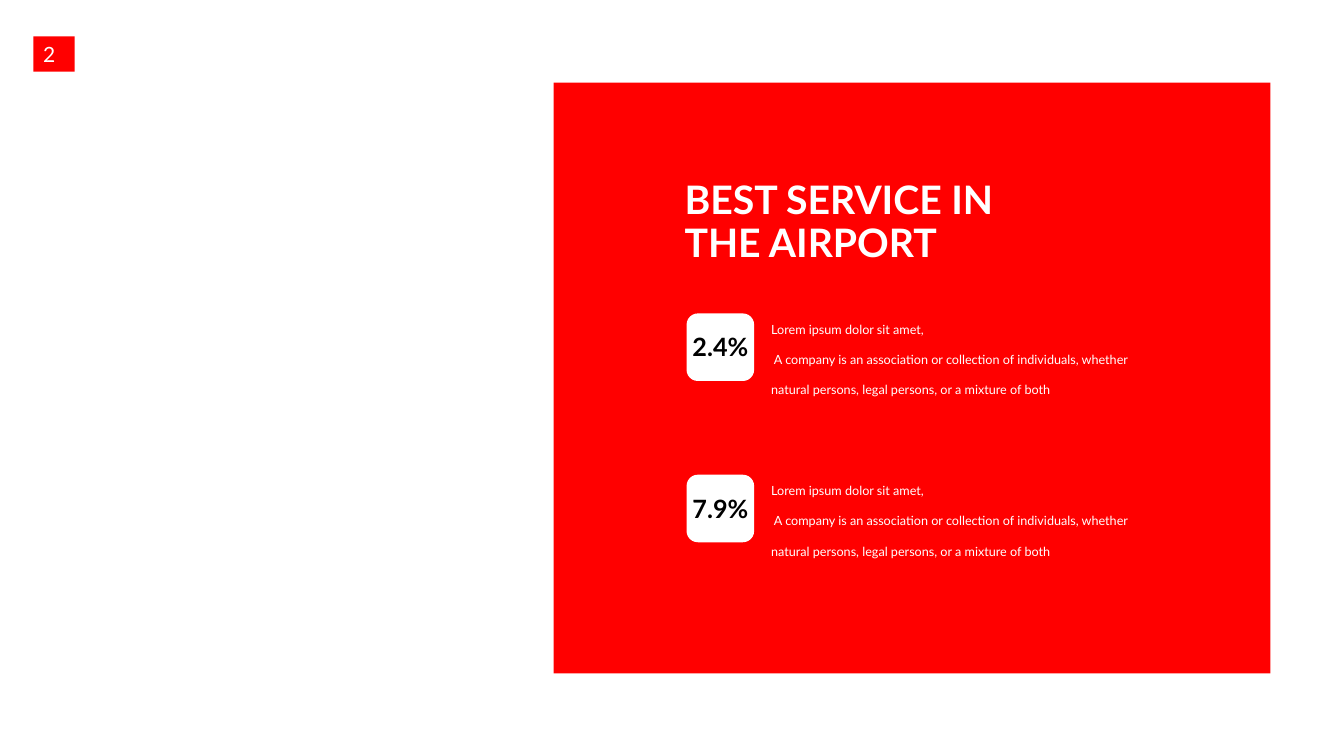
from pptx import Presentation
from pptx.dml.color import RGBColor
from pptx.enum.shapes import MSO_SHAPE
from pptx.enum.text import MSO_ANCHOR, PP_ALIGN
from pptx.util import Inches, Pt

RECT, ROUND = MSO_SHAPE.RECTANGLE, MSO_SHAPE.ROUNDED_RECTANGLE
LEFT, CENTER = PP_ALIGN.LEFT, PP_ALIGN.CENTER
TOP, MIDDLE = MSO_ANCHOR.TOP, MSO_ANCHOR.MIDDLE

# Content
TITLE = "BEST SERVICE IN THE AIRPORT"
NUMBER = "2"
NOTE = [
    "Lorem ipsum dolor sit amet,",
    " A company is an association or collection of individuals, "
    "whether natural persons, legal persons, or a mixture of both",
]
STATS = [("2.4%", NOTE), ("7.9%", NOTE)]

# Look
FONT = "Lato"
COLORS = {"red": "FF0000", "white": "FFFFFF", "black": "000000"}
STYLES = {
    "title": {"size": 28, "bold": True, "color": "white", "align": LEFT,
              "space": 0.9, "anchor": MIDDLE},
    "value": {"size": 18, "bold": True, "color": "black", "align": CENTER,
              "space": 1, "anchor": TOP},
    "note": {"size": 9, "bold": False, "color": "white", "align": LEFT,
             "space": 2, "anchor": TOP},
    "number": {"size": 15, "bold": False, "color": "white", "align": LEFT,
               "space": 1, "anchor": MIDDLE},
}

# Layout in inches
PANEL = (5.49, 0.82, 7.11, 5.86)
HEAD = (6.69, 1.57, 4.07, 1.29)
BADGE = (0.33, 0.36, 0.41, 0.35)
ROW_TOP, ROW_STEP = 3.11, 1.6


def rgb(name):
    return RGBColor.from_string(COLORS[name])


def write(shape, lines, kind):
    style = STYLES[kind]
    frame = shape.text_frame
    frame.word_wrap = True
    frame.vertical_anchor = style["anchor"]
    frame.text = "\n".join(lines)
    for para in frame.paragraphs:
        para.alignment = style["align"]
        para.line_spacing = style["space"]
        font = para.runs[0].font
        looks = {"name": FONT, "size": Pt(style["size"]), "bold": style["bold"]}
        for key, value in looks.items():
            setattr(font, key, value)
        font.color.rgb = rgb(style["color"])


def add_box(slide, form, place, color):
    box = slide.shapes.add_shape(form, *map(Inches, place))
    box.shadow.inherit = False
    box.fill.solid()
    box.fill.fore_color.rgb = rgb(color)
    box.line.fill.background()
    return box


def add_text(slide, place, lines, kind):
    write(slide.shapes.add_textbox(*map(Inches, place)), lines, kind)


def main():
    deck = Presentation()
    deck.slide_width, deck.slide_height = Inches(13.33), Inches(7.5)
    slide = deck.slides.add_slide(deck.slide_layouts[5])

    # Red panel with the title in front of it
    panel = add_box(slide, RECT, PANEL, "red")
    title = slide.shapes.title
    for key, value in zip(("left", "top", "width", "height"), HEAD):
        setattr(title, key, Inches(value))
    write(title, [TITLE], "title")
    panel.element.addnext(title.element)

    # One row per figure
    for row, (value, note) in enumerate(STATS):
        top = ROW_TOP + row * ROW_STEP
        add_box(slide, ROUND, (6.81, top, 0.67, 0.67), "white")
        add_text(slide, (6.69, top + 0.13, 0.91, 0.4), [value], "value")
        add_text(slide, (7.55, top - 0.12, 3.84, 1.31), note, "note")

    # Page number
    write(add_box(slide, RECT, BADGE, "red"), [NUMBER], "number")

    deck.save("out.pptx")


if __name__ == "__main__":
    main()
